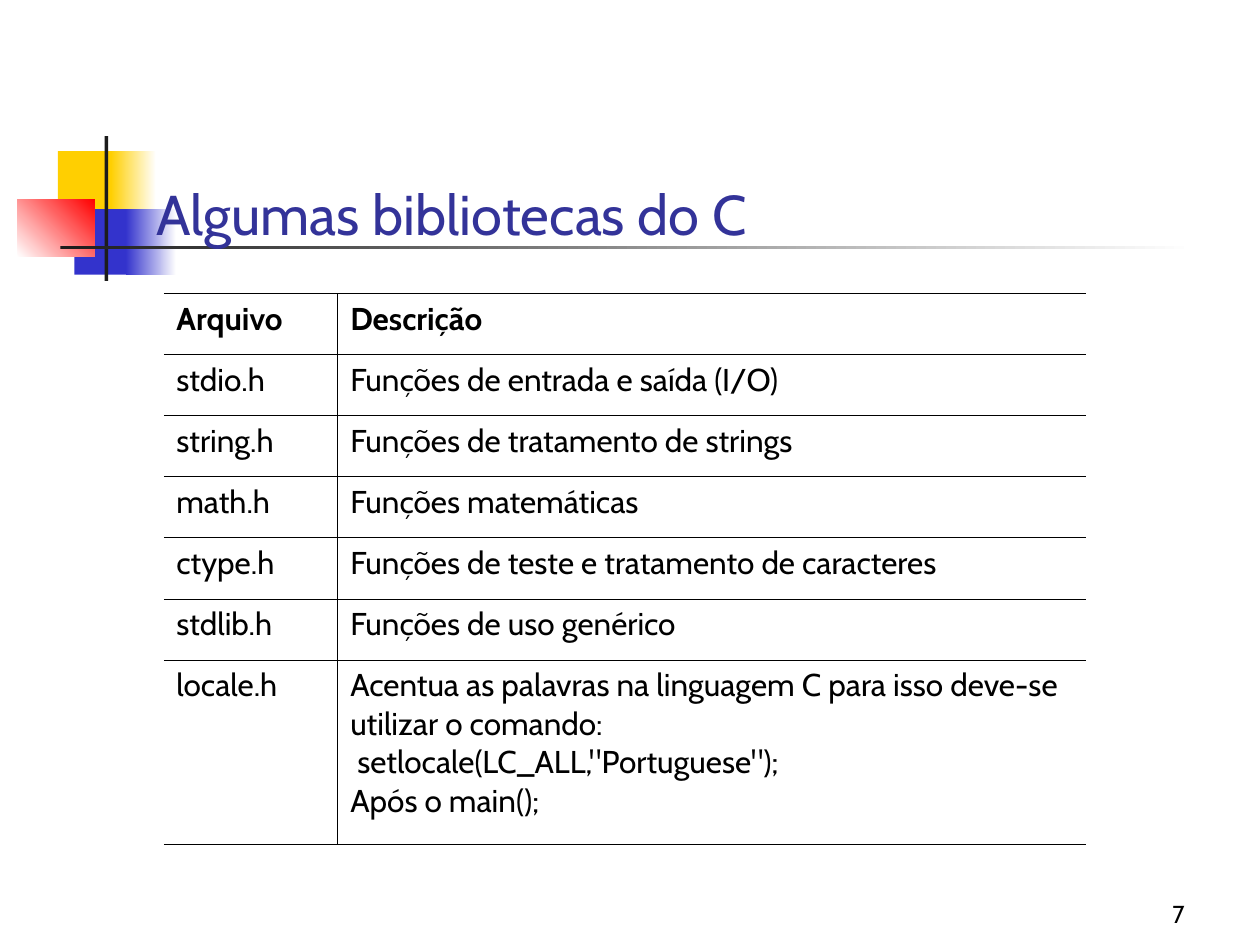
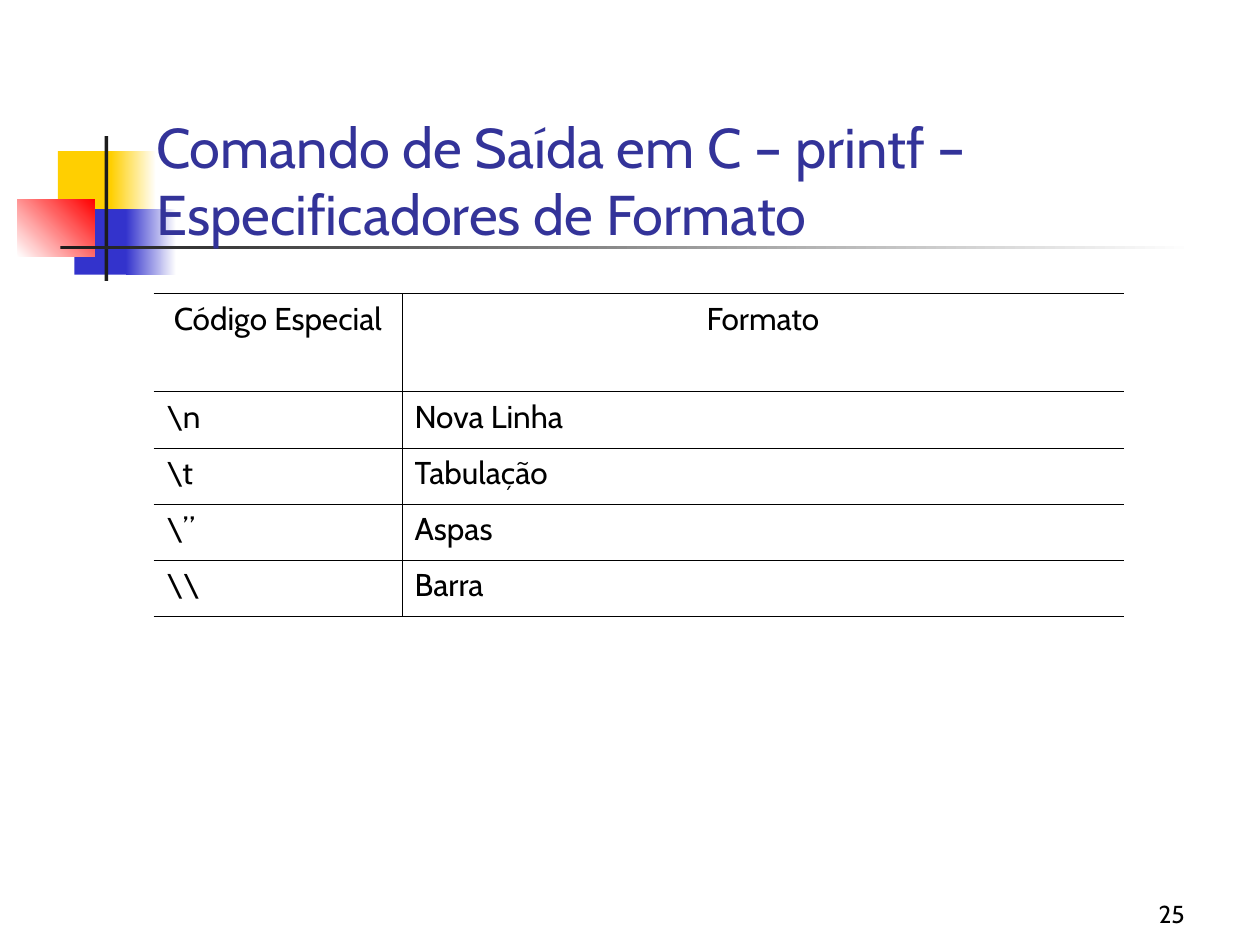
"""Build two slides about C libraries and printf special codes."""
from lxml.etree import SubElement
from pptx import Presentation
from pptx.dml.color import RGBColor
from pptx.enum.shapes import MSO_SHAPE
from pptx.enum.text import MSO_ANCHOR, MSO_AUTO_SIZE, PP_ALIGN
from pptx.oxml.ns import qn
from pptx.util import Inches, Pt

FONT = "Cabin"
COLORS = {
    "title": "333399", "text": "000000", "paper": "FFFFFF", "yellow": "FFCF01",
    "blue": "3333CC", "red": "FF0000", "bar": "1C1C1C",
}
BAND = [
    ((0.46, 1.2, 0.48, 0.52), ["yellow"], 0),
    ((0.88, 1.2, 0.36, 0.52), ["yellow", "paper"], 0),
    ((0.59, 1.66, 0.46, 0.52), ["blue"], 0),
    ((1, 1.66, 0.4, 0.52), ["blue", "paper"], 0),
    ((0.14, 1.58, 0.61, 0.46), ["paper", "red"], 45),
    ((0.83, 1.08, 0.03, 1.15), ["bar"], 0),
    ((0.48, 1.95, 9, 0.03), ["bar", "paper"], 0),
]
TITLE_BOX = (1.14, 0.76, 8.52, 1.25)
NUMBER_BOX = (7.42, 6.92, 2.08, 0.5)
TABLE_TOP = 2.33
LINE_WIDTH = Pt(0.45)
LEFT, CENTER, JUSTIFY = PP_ALIGN.LEFT, PP_ALIGN.CENTER, PP_ALIGN.JUSTIFY

SLIDES = [
    {
        "title": "Algumas bibliotecas do C",
        "number": "7",
        "left": 1.3,
        "cols": [1.38, 5.94],
        "heights": [0.485] * 6 + [1.46],
        "header_bold": True,
        "header_align": LEFT,
        "body_aligns": (LEFT, LEFT),
        "rows": [
            ("Arquivo", "Descrição"),
            ("stdio.h", "Funções de entrada e saída (I/O)"),
            ("string.h", "Funções de tratamento de strings"),
            ("math.h", "Funções matemáticas"),
            ("ctype.h", "Funções de teste e tratamento de caracteres"),
            ("stdlib.h", "Funções de uso genérico"),
            ("locale.h",
             "Acentua as palavras na linguagem C para isso deve-se utilizar o comando:\n"
             " setlocale(LC_ALL,\"Portuguese\");\n"
             "Após o main();"),
        ],
    },
    {
        "title": "Comando de Saída em C – printf – Especificadores de Formato",
        "number": "25",
        "left": 1.22,
        "cols": [1.97, 5.73],
        "heights": [0.78] + [0.445] * 4,
        "header_bold": False,
        "header_align": CENTER,
        "body_aligns": (LEFT, JUSTIFY),
        "rows": [
            ("Código Especial", "Formato"),
            (r"\n", "Nova Linha"),
            (r"\t", "Tabulação"),
            (r"\”", "Aspas"),
            (r"\\", "Barra"),
        ],
    },
]


def rgb(name):
    return RGBColor.from_string(COLORS[name])


def box(lengths):
    return [Inches(n) for n in lengths]


def write(tf, text, size, color="text", align=LEFT, bold=False):
    for i, line in enumerate(text.split("\n")):
        p = tf.add_paragraph() if i else tf.paragraphs[0]
        p.alignment = align
        r = p.add_run()
        r.text = line
        r.font.name, r.font.size, r.font.bold = FONT, Pt(size), bold
        r.font.color.rgb = rgb(color)


def add_band(slide):
    tree = slide.slide_layout.shapes._spTree
    for n, (place, colors, angle) in enumerate(BAND):
        sp = slide.shapes.add_shape(MSO_SHAPE.RECTANGLE, *box(place))
        sp.shadow.inherit = False
        sp.line.fill.background()
        if len(colors) == 1:
            sp.fill.solid()
            sp.fill.fore_color.rgb = rgb(colors[0])
        else:
            sp.fill.gradient()
            sp.fill.gradient_angle = angle
            for stop, color in zip(sp.fill.gradient_stops, colors):
                stop.color.rgb = rgb(color)
        sp._element.nvSpPr.cNvPr.set("id", str(100 + n))
        tree.append(sp._element)


def set_borders(cell, visible):
    tc_pr = cell._tc.get_or_add_tcPr()
    for side in "LRTB":
        ln = SubElement(tc_pr, qn(f"a:ln{side}"), w=str(LINE_WIDTH))
        if side in visible:
            fill = SubElement(ln, qn("a:solidFill"))
            SubElement(fill, qn("a:srgbClr"), val=COLORS["text"])
        else:
            SubElement(ln, qn("a:noFill"))


def add_table(slide, data):
    rows, cols, heights = data["rows"], data["cols"], data["heights"]
    place = box((data["left"], TABLE_TOP, sum(cols), sum(heights)))
    table = slide.shapes.add_table(len(rows), len(cols), *place).table
    table.first_row = table.horz_banding = False
    for col, width in zip(table.columns, cols):
        col.width = Inches(width)
    for i, texts in enumerate(rows):
        table.rows[i].height = Inches(heights[i])
        for j, text in enumerate(texts):
            cell = table.cell(i, j)
            align = data["body_aligns"][j] if i else data["header_align"]
            write(cell.text_frame, text, 18, align=align,
                  bold=data["header_bold"] and i == 0)
            set_borders(cell, "LTB" if j else "RTB")
            cell.fill.background()


def add_title(slide, text):
    sp = slide.shapes.title
    sp.left, sp.top, sp.width, sp.height = box(TITLE_BOX)
    tf = sp.text_frame
    tf.auto_size = MSO_AUTO_SIZE.NONE
    tf.vertical_anchor = MSO_ANCHOR.BOTTOM
    write(tf, text, 32, "title")


def add_number(slide, text):
    tf = slide.shapes.add_textbox(*box(NUMBER_BOX)).text_frame
    tf.word_wrap = True
    tf.vertical_anchor = MSO_ANCHOR.BOTTOM
    write(tf, text, 14, align=PP_ALIGN.RIGHT)


def main():
    prs = Presentation()
    prs.slide_width, prs.slide_height = Inches(10), Inches(7.5)
    layout = prs.slide_layouts[5]
    for i, data in enumerate(SLIDES):
        s = prs.slides.add_slide(layout)
        if i == 0:
            add_band(s)
        add_title(s, data["title"])
        add_number(s, data["number"])
        add_table(s, data)
    prs.save("out.pptx")


if __name__ == "__main__":
    main()
